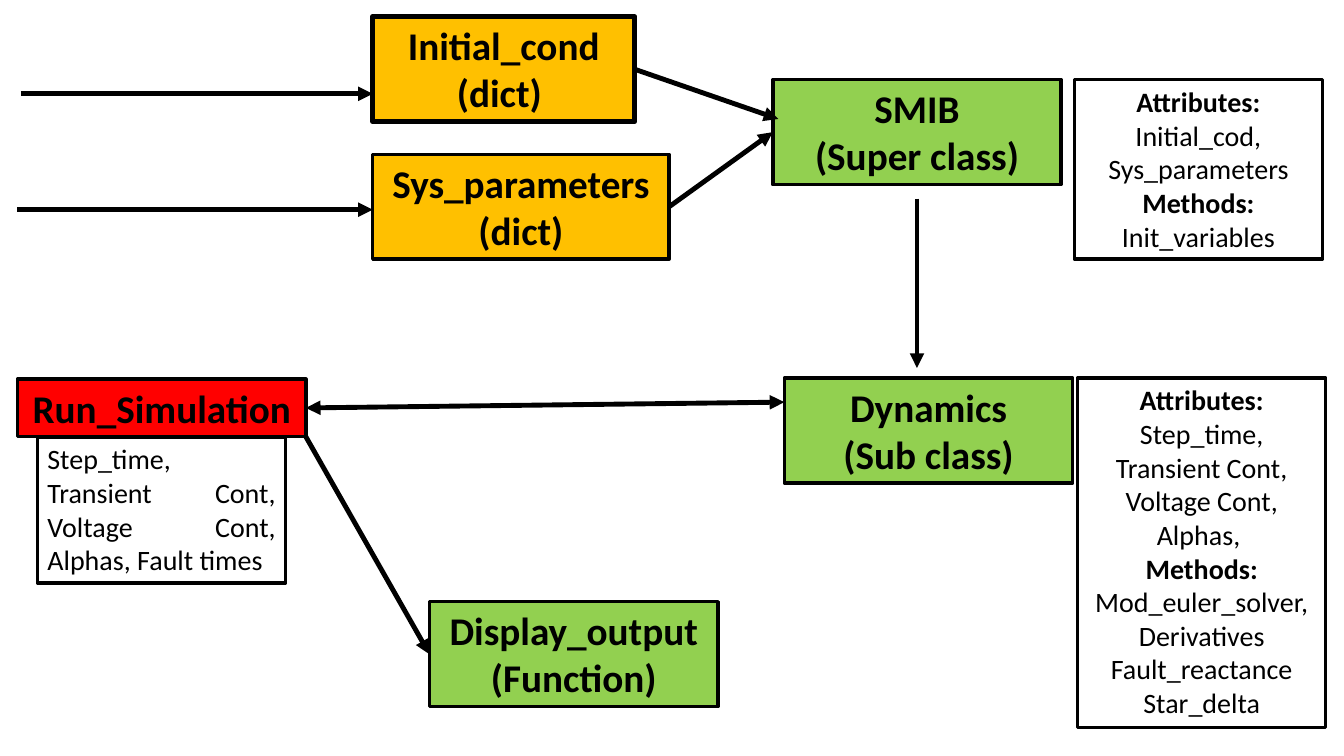
from dataclasses import dataclass
from typing import Optional

from pptx import Presentation
from pptx.dml.color import RGBColor
from pptx.enum.shapes import MSO_CONNECTOR as CONN
from pptx.enum.text import MSO_ANCHOR as ANCHOR, MSO_AUTO_SIZE as AUTO, PP_ALIGN as ALIGN
from pptx.oxml.ns import qn
from pptx.util import Pt

BLACK, AMBER, GREEN, RED = "000000", "FFC000", "92D050", "FF0000"
TITLE_SIZE, DETAIL_SIZE = 28, 20
CLASS_W, DETAIL_W, TITLE_H = 206, 177.25, 75
DATA_X, RIGHT_TOP, LOWER_TOP = 266.25, 56.9, 270
LEFT, RIGHT = 1, 3  # connection sites


@dataclass
class Box:
    key: str
    x: float
    y: float
    w: float
    h: float
    lines: list[str]
    fill: Optional[str] = None
    border: float = 2.5
    align: ALIGN = ALIGN.CENTER


@dataclass
class Arrow:
    start: tuple[float, float]
    end: tuple[float, float]
    source: Optional[str] = None  # box joined at its right side
    target: Optional[str] = None  # box joined at its left side
    both_ways: bool = False


BOXES = [
    Box("initial", DATA_X, 12, 187.2, TITLE_H, ["Initial_cond", "(dict) "], AMBER, 3.5),
    Box("system", DATA_X, 110.2, 211.7, TITLE_H, ["Sys_parameters", "(dict)"], AMBER),
    Box("smib", 552, RIGHT_TOP, CLASS_W, TITLE_H, ["SMIB", "(Super class)"], GREEN),
    Box("smib detail", 767.4, RIGHT_TOP, DETAIL_W, 128.2,
        ["Attributes:", "Initial_cod,", "Sys_parameters", "Methods:", "Init_variables"]),
    Box("dynamics", 560.25, LOWER_TOP, CLASS_W, TITLE_H, ["Dynamics", "(Sub class)"], GREEN),
    Box("dynamics detail", 769.75, LOWER_TOP, DETAIL_W, 249.8,
        ["Attributes:", "Step_time,", "Transient Cont,", "Voltage Cont,", "Alphas, ",
         "Methods:", "Mod_euler_solver,", "Derivatives", "Fault_reactance", "Star_delta"]),
    Box("display", 306.8, 429.8, CLASS_W, TITLE_H, ["Display_output", "(Function)"], GREEN),
    Box("run", 12.5, 270.8, CLASS_W, 41.2, ["Run_Simulation"], RED),
    Box("run detail", 26.75, 312, DETAIL_W, 104.4,
        ["Step_time, Transient Cont, Voltage Cont, Alphas, Fault times"], align=ALIGN.JUSTIFY),
]

ARROWS = [
    Arrow((15, 67), (DATA_X, 67)),
    Arrow((12.5, 149.8), (DATA_X, 149.8)),
    Arrow((453.5, 49.5), (556, 85), source="initial"),
    Arrow((478, 147.7), (552, 94.4), source="system", target="smib"),
    Arrow((655, 141.8), (655, 262.8)),
    Arrow((218.5, 291.4), (560.25, 287.25), source="run", both_ways=True),
    Arrow((218.5, 312), (306.8, 467.3), target="display"),
]


def color(value: str) -> RGBColor:
    return RGBColor.from_string(value)


def draw_box(slide, box: Box):
    s = slide.shapes.add_textbox(Pt(box.x), Pt(box.y), Pt(box.w), Pt(box.h))
    s.line.color.rgb = color(BLACK)
    s.line.width = Pt(box.border)
    if box.fill:
        s.fill.solid()
        s.fill.fore_color.rgb = color(box.fill)
    tf = s.text_frame
    tf.word_wrap = True
    tf.auto_size = AUTO.SHAPE_TO_FIT_TEXT
    tf.vertical_anchor = ANCHOR.TOP
    tf.text = "\n".join(box.lines)
    for p in tf.paragraphs:
        p.alignment = box.align
        for r in p.runs:
            r.font.name = "Calibri"
            r.font.size = Pt(TITLE_SIZE if box.fill else DETAIL_SIZE)
            r.font.bold = bool(box.fill) or r.text.endswith(":")
            r.font.color.rgb = color(BLACK)
    return s


def draw_arrow(slide, arrow: Arrow, shapes: dict) -> None:
    c = slide.shapes.add_connector(CONN.STRAIGHT, *map(Pt, arrow.start + arrow.end))
    if arrow.source:
        c.begin_connect(shapes[arrow.source], RIGHT)
    if arrow.target:
        c.end_connect(shapes[arrow.target], LEFT)
    c.line.color.rgb = color(BLACK)
    c.line.width = Pt(3.5)
    # Arrowheads, and no shadow
    sp_pr = c._element.spPr
    ln = sp_pr.find(qn("a:ln"))
    for tag in ["a:headEnd", "a:tailEnd"] if arrow.both_ways else ["a:tailEnd"]:
        ln.append(ln.makeelement(qn(tag), {"type": "triangle"}))
    sp_pr.append(sp_pr.makeelement(qn("a:effectLst"), {}))


def main() -> None:
    prs = Presentation()
    prs.slide_width, prs.slide_height = Pt(960), Pt(540)
    slide = prs.slides.add_slide(prs.slide_layouts[6])
    # Class, data and detail boxes
    shapes = {box.key: draw_box(slide, box) for box in BOXES}
    # Flow between them
    for arrow in ARROWS:
        draw_arrow(slide, arrow, shapes)
    prs.save("out.pptx")


if __name__ == "__main__":
    main()
